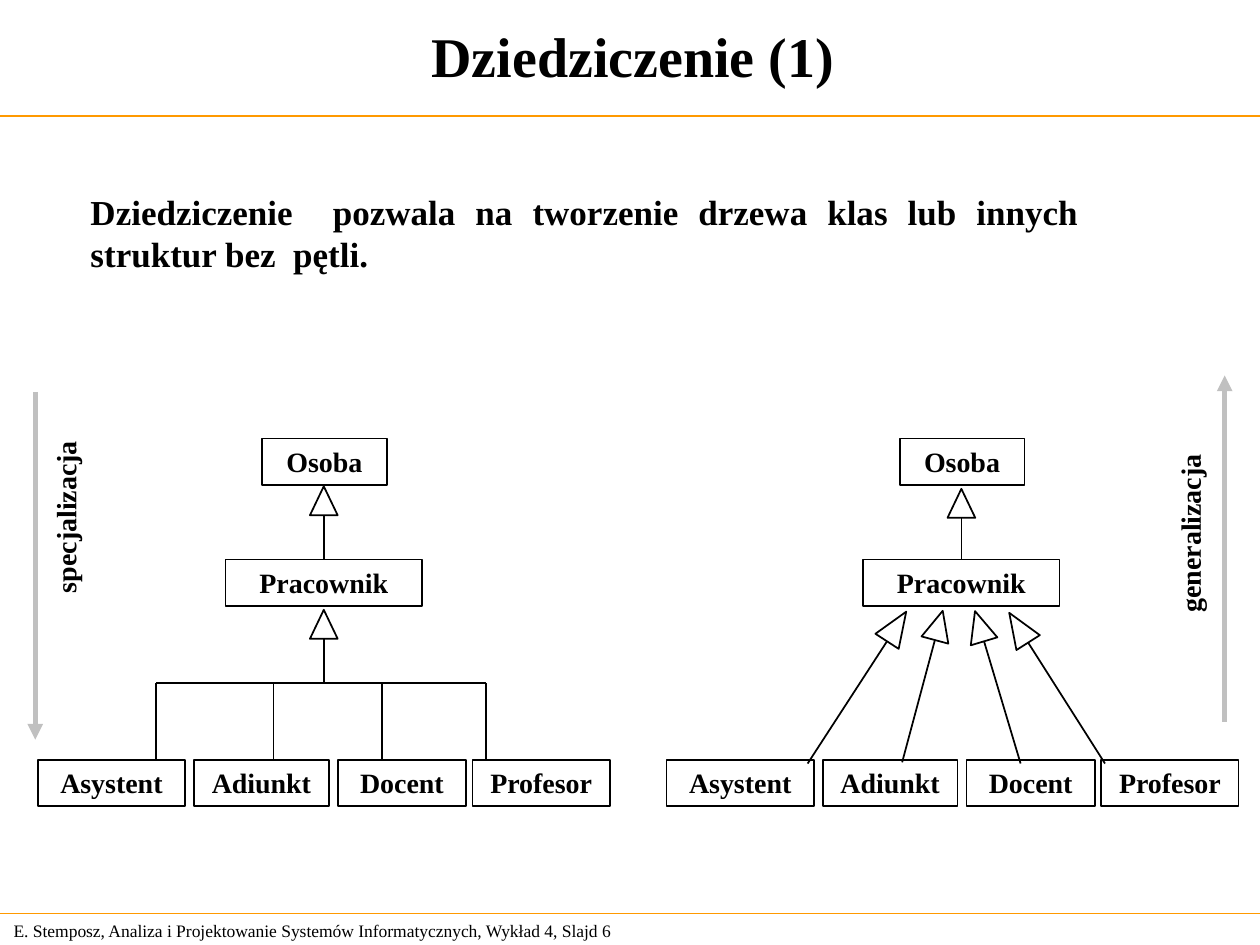
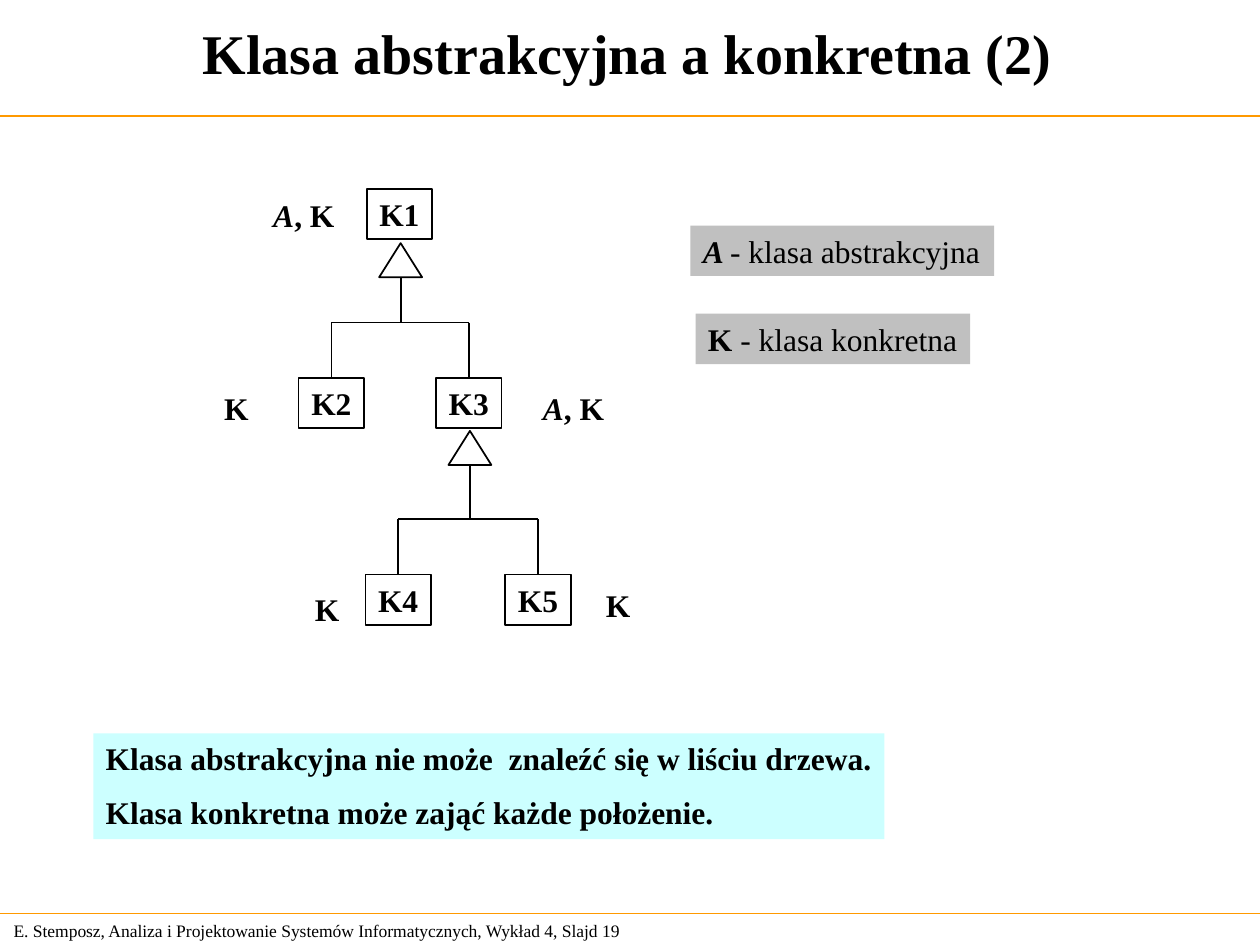
from math import atan2, cos, degrees, sin

from lxml import etree
from pptx import Presentation
from pptx.dml.color import RGBColor
from pptx.enum.shapes import MSO_CONNECTOR, MSO_SHAPE
from pptx.enum.text import MSO_ANCHOR, MSO_AUTO_SIZE, PP_ALIGN
from pptx.oxml.ns import qn
from pptx.util import Inches, Pt

COLORS = {
    "ink": "000000",
    "rule": "FF9900",
    "direction": "C0C0C0",
    "legend": "C0C0C0",
    "conclusion": "CCFFFF",
}
FONT = "Times New Roman"
FOOTER = "E. Stemposz, Analiza i Projektowanie Systemów Informatycznych, Wykład 4, Slajd "
TOP, BOTTOM = 0, 2  # connection sites of a rectangle


def color(name):
    return RGBColor.from_string(COLORS[name])


# Text: a paragraph is a list of (text, style), where style holds "b" and "i"
def write(shape, paragraphs, size, align=PP_ALIGN.LEFT, anchor=MSO_ANCHOR.TOP,
          wrap=True, gap=0):
    frame = shape.text_frame
    frame.auto_size = MSO_AUTO_SIZE.NONE
    frame.word_wrap = wrap
    frame.vertical_anchor = anchor
    for index, spans in enumerate(paragraphs):
        para = frame.add_paragraph() if index else frame.paragraphs[0]
        para.alignment = align
        if index:
            para.space_before = Pt(gap)
        for text, style in spans:
            span = para.add_run()
            span.text = text
            span.font.name = FONT
            span.font.size = Pt(size)
            span.font.bold = "b" in style
            span.font.italic = "i" in style
            span.font.color.rgb = color("ink")


def add_text(slide, left, top, width, height, paragraphs, size, fill=None,
             rotation=0, **layout):
    box = slide.shapes.add_textbox(*map(Inches, (left, top, width, height)))
    box.rotation = rotation
    if fill:
        box.fill.solid()
        box.fill.fore_color.rgb = color(fill)
    write(box, paragraphs, size, **layout)


# Outlined shapes and lines
def add_outline(slide, preset, left, top, width, height):
    shape = slide.shapes.add_shape(preset, *map(Inches, (left, top, width, height)))
    shape.shadow.inherit = False
    shape.fill.background()
    shape.line.color.rgb = color("ink")
    shape.line.width = Pt(1)
    return shape


def add_class(slide, name, left, top, width, height=0.37, size=16):
    box = add_outline(slide, MSO_SHAPE.RECTANGLE, left, top, width, height)
    write(box, [[(name, "b")]], size, align=PP_ALIGN.CENTER, wrap=False)
    return box


def add_line(slide, start, end, ink="ink", width=1, arrow=False):
    line = slide.shapes.add_connector(MSO_CONNECTOR.STRAIGHT, *map(Inches, start + end))
    line.line.color.rgb = color(ink)
    line.line.width = Pt(width)
    if arrow:
        etree.SubElement(line.line._get_or_add_ln(), qn("a:tailEnd"), type="triangle")
    etree.SubElement(line._element.spPr, qn("a:effectLst"))
    return line


def add_generalization(slide, start, neck, head_width=0.22, head_height=0.23):
    """Line from start to neck, with a hollow triangle pointing on from there."""
    angle = atan2(neck[0] - start[0], start[1] - neck[1])
    center_x = neck[0] + sin(angle) * head_height / 2
    center_y = neck[1] - cos(angle) * head_height / 2
    head = add_outline(slide, MSO_SHAPE.ISOSCELES_TRIANGLE, center_x - head_width / 2,
                       center_y - head_height / 2, head_width, head_height)
    head.rotation = degrees(angle)
    return add_line(slide, start, neck)


def add_branches(slide, bar_y, drops, child_y):
    """Horizontal bar with one line down from it at each x in drops."""
    add_line(slide, (drops[0], bar_y), (drops[-1], bar_y))
    return [add_line(slide, (x, bar_y), (x, child_y)) for x in drops]


# Title, rules and footer shared by the slides
def add_page(deck, title, number, left, top, width):
    slide = deck.slides.add_slide(deck.slide_layouts[5])
    heading = slide.shapes.title
    heading.left, heading.top = Inches(left), Inches(top)
    heading.width, heading.height = Inches(width), Inches(0.85)
    write(heading, [[(title, "b")]], 32, align=PP_ALIGN.CENTER, anchor=MSO_ANCHOR.MIDDLE)
    for y, weight in ((0.92, 1), (7.25, 0.75)):
        add_line(slide, (0, y), (10, y), "rule", weight)
    add_text(slide, 0.01, 7.25, 5.24, 0.27, [[(f"{FOOTER}{number}", "")]], 10,
             anchor=MSO_ANCHOR.MIDDLE, wrap=False)
    return slide


def add_staff_classes(slide, left, leaf_left, neck_y):
    """Osoba over Pracownik, with the four posts in a row below."""
    add_class(slide, "Osoba", left + 0.29, 3.48, 0.99)
    employee = add_class(slide, "Pracownik", left, 4.44, 1.56)
    center = left + 0.78
    link = add_generalization(slide, (center, 4.44), (center, neck_y))
    link.begin_connect(employee, TOP)
    posts = (("Asystent", 0, 1.17), ("Adiunkt", 1.24, 1.07),
             ("Docent", 2.38, 1.02), ("Profesor", 3.45, 1.09))
    for name, offset, width in posts:
        add_class(slide, name, leaf_left + offset, 6.03, width)


def build_inheritance(deck):
    slide = add_page(deck, "Dziedziczenie (1)", 6, 0.1, 0.01, 9.85)
    add_text(slide, 0.62, 1.46, 8.04, 0.77,
             [[("Dziedziczenie  pozwala na tworzenie drzewa klas lub innych "
                "struktur bez  pętli.", "b")]], 20, align=PP_ALIGN.JUSTIFY)

    # Directions at the two edges
    directions = (
        ("specjalizacja", (-0.18, 3.92, 1.4), (0.28, 3.11), (0.28, 5.87)),
        ("generalizacja", (8.72, 4.05, 1.45), (9.72, 5.73), (9.72, 2.98)),
    )
    for name, place, start, end in directions:
        add_line(slide, start, end, "direction", 3, arrow=True)
        add_text(slide, *place, 0.37, [[(name, "b")]], 16, rotation=270, wrap=False)

    # Tree with one shared arrow
    add_staff_classes(slide, 1.79, 0.3, 4.09)
    add_generalization(slide, (2.57, 5.42), (2.57, 5.07))
    add_branches(slide, 5.42, (1.24, 2.17, 3.03, 3.86), 6.03)

    # Tree with an arrow from each class
    add_staff_classes(slide, 6.85, 5.29, 4.11)
    arrows = (((6.41, 6.06), (7.04, 5.09), 0.28), ((7.16, 6.05), (7.42, 5.08), 0.24),
              ((8.1, 6.06), (7.81, 5.09), 0.25), ((8.77, 6.06), (8.16, 5.1), 0.28))
    for start, neck, head_height in arrows:
        add_generalization(slide, start, neck, head_height=head_height)


def build_abstract_class(deck):
    slide = add_page(deck, "Klasa abstrakcyjna a konkretna (2)", 19, 0, -0.01, 9.96)

    # Legend
    legend = ((5.48, 1.79, 2.41, ("A ", "bi"), "- klasa abstrakcyjna"),
              (5.52, 2.49, 2.18, ("K ", "b"), "- klasa konkretna"))
    for left, top, width, symbol, meaning in legend:
        add_text(slide, left, top, width, 0.4, [[symbol, (meaning, "")]], 18,
                 fill="legend", wrap=False)

    # Classes
    places = {"K1": (2.91, 1.5), "K2": (2.37, 3), "K3": (3.46, 3),
              "K4": (2.9, 4.56), "K5": (4.01, 4.56)}
    classes = {name: add_class(slide, name, left, top, 0.52, 0.4, 18)
               for name, (left, top) in places.items()}

    # Inheritance links
    families = ((3.18, 2.2, 2.56, ("K2", "K3")), (3.73, 3.69, 4.12, ("K4", "K5")))
    for x, neck_y, bar_y, children in families:
        add_generalization(slide, (x, bar_y), (x, neck_y), 0.34, 0.27)
        drops = [places[child][0] + 0.26 for child in children]
        lines = add_branches(slide, bar_y, drops, places[children[0]][1])
        for line, child in zip(lines, children):
            line.end_connect(classes[child], TOP)

    # Kinds allowed for each class
    concrete = [("K", "b")]
    either = [("A", "bi"), (", K", "b")]
    kinds = ((2.07, 1.51, 0.68, either), (1.68, 3.04, 0.39, concrete),
             (4.21, 3.04, 0.68, either), (2.4, 4.63, 0.39, concrete),
             (4.71, 4.6, 0.39, concrete))
    for left, top, width, spans in kinds:
        add_text(slide, left, top, width, 0.4, [spans], 18, wrap=False)

    # Conclusion
    add_text(slide, 0.74, 5.82, 6.28, 0.84,
             [[("Klasa abstrakcyjna nie może  znaleźć się w liściu drzewa.", "b")],
              [("Klasa konkretna może zająć każde położenie.", "b")]],
             18, fill="conclusion", wrap=False, gap=9)


def main():
    deck = Presentation()
    deck.slide_width, deck.slide_height = Inches(10), Inches(7.5)
    build_inheritance(deck)
    build_abstract_class(deck)
    deck.save("out.pptx")


if __name__ == "__main__":
    main()
